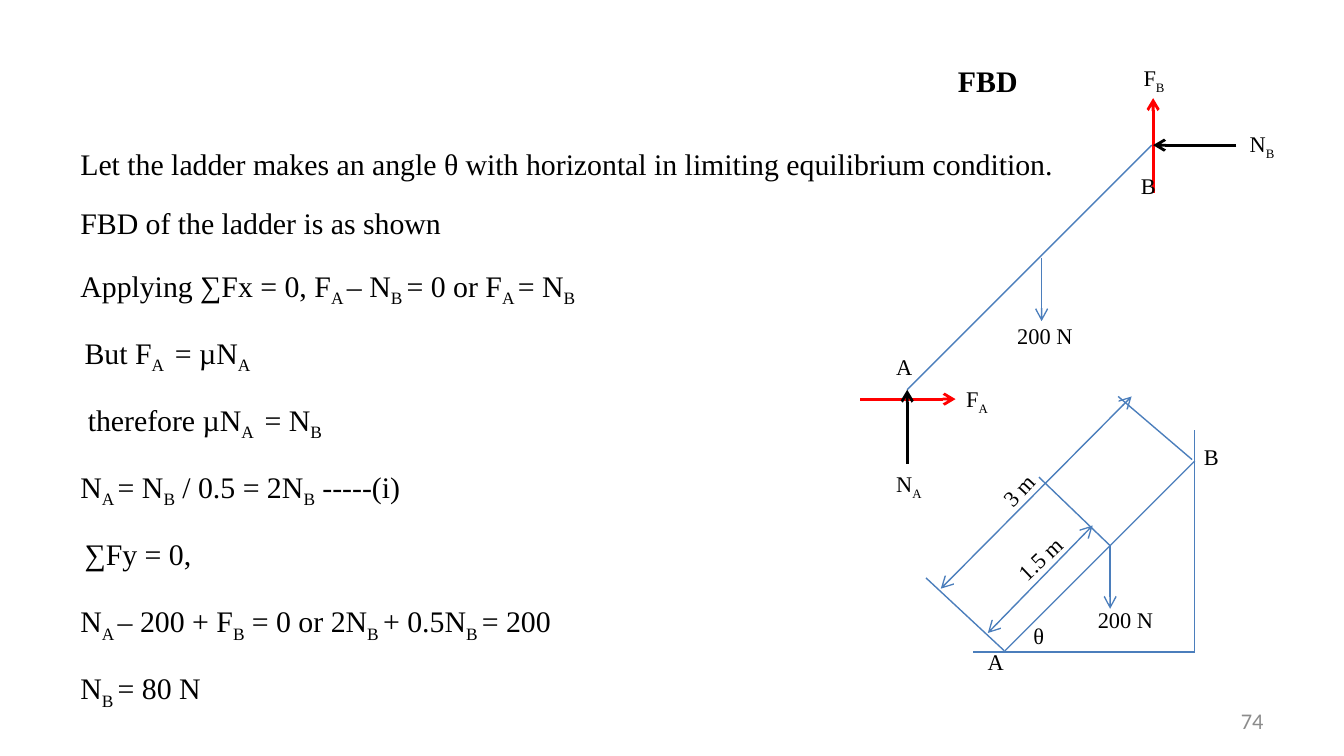
from lxml import etree
from pptx import Presentation
from pptx.dml.color import RGBColor
from pptx.enum.shapes import MSO_CONNECTOR
from pptx.enum.text import MSO_ANCHOR, MSO_AUTO_SIZE, PP_ALIGN
from pptx.oxml.ns import qn
from pptx.util import Inches, Pt

STRAIGHT = MSO_CONNECTOR.STRAIGHT
MIDDLE = MSO_ANCHOR.MIDDLE
JUSTIFY, RIGHT = PP_ALIGN.JUSTIFY, PP_ALIGN.RIGHT
GROW = MSO_AUTO_SIZE.SHAPE_TO_FIT_TEXT

COLORS = {"text": "000000", "number": "8C8C8C", "outline": "4B7EBC",
          "friction": "FF0000", "normal": "000000"}
SERIF = {"name": "Times New Roman", "size": Pt(12)}
BODY = {"name": "Times New Roman", "size": Pt(16)}
TITLE = {**BODY, "bold": True}
NUMBER = {"name": "Calibri", "size": Pt(12)}

# Every second part between bars is a subscript.
SOLUTION = [
    "Let the ladder makes an angle θ with horizontal in limiting equilibrium condition.",
    "FBD of the ladder is as shown",
    "Applying ∑Fx = 0, F|A |– N|B |= 0 or F|A |= N|B",
    "| |But F|A | = µN|A ",
    " therefore µN|A | = N|B ",
    "N|A |= N|B| / 0.5 = 2N|B| -----(i)",
    "| |∑Fy = 0,",
    "N|A |– 200 + F|B| = 0 or 2N|B |+ 0.5N|B |= 200",
    "N|B |= 80 N",
]

# text, left, top, width, rotation
LABELS = [
    ("B", 8.39, 1.23, 0.35, 0), ("A", 6.57, 2.58, 0.5, 0),
    ("F|B", 8.41, 0.43, 0.71, 0), ("N|B", 9.2, 0.92, 0.71, 0),
    ("F|A", 7.09, 2.82, 0.71, 0), ("N|A", 6.57, 3.45, 0.71, 0),
    ("200 N", 7.47, 2.35, 0.71, 0), ("200 N", 8.07, 4.46, 0.71, 0),
    ("B", 8.86, 3.25, 0.5, 0), ("A", 7.25, 4.77, 0.5, 0),
    ("θ", 7.59, 4.58, 0.7, 0),
    ("3 m", 7.31, 3.4, 0.71, 312.9), ("1.5 m", 7.43, 3.96, 0.71, 316.4),
]

# start, end
LADDERS_AND_WALLS = [
    ((6.75, 2.9), (8.57, 1.08)), ((7.47, 4.85), (8.89, 3.43)),
    ((7.24, 4.85), (8.89, 4.85)), ((8.89, 4.85), (8.89, 3.2)),
]
EXTENSION_LINES = [
    ((7.47, 4.84), (6.89, 4.3)), ((8.87, 3.42), (8.32, 2.95)),
    ((8.26, 4.06), (7.73, 3.55)),
]
WEIGHTS = [((7.75, 1.92), (7.75, 2.39)), ((8.26, 4.06), (8.26, 4.53))]
DIMENSIONS = [((7, 4.38), (8.42, 2.95)), ((7.35, 4.71), (8.13, 3.91))]
FRICTIONS = [((8.58, 1.44), (8.58, 0.73)), ((6.4, 2.97), (7.11, 2.97))]
NORMALS = [((9.2, 1.08), (8.58, 1.08)), ((6.75, 3.45), (6.75, 2.9))]


def add_spans(para, text, style, color):
    """Fill a paragraph, lowering every second part between bars."""
    for index, part in enumerate(text.split("|")):
        if not part:
            continue
        span = para.add_run()
        span.text = part
        for name, value in style.items():
            setattr(span.font, name, value)
        span.font.color.rgb = RGBColor.from_string(COLORS[color])
        if index % 2:
            span._r.get_or_add_rPr().set("baseline", "-25000")


def add_text(page, lines, place, style, color="text", frame=None, layout=None, rotation=0):
    box = page.shapes.add_textbox(*map(Inches, place))
    box.rotation = rotation
    text_frame = box.text_frame
    text_frame.word_wrap = True
    for name, value in (frame or {}).items():
        setattr(text_frame, name, value)
    for index, line in enumerate(lines):
        para = text_frame.add_paragraph() if index else text_frame.paragraphs[0]
        for name, value in (layout or {}).items():
            if index or name != "space_before":
                setattr(para, name, value)
        add_spans(para, line, style, color)


def add_lines(page, segments, color="outline", width=0.75, ends=()):
    for start, end in segments:
        line = page.shapes.add_connector(STRAIGHT, *map(Inches, start + end))
        line.line.color.rgb = RGBColor.from_string(COLORS[color])
        line.line.width = Pt(width)
        properties = line._element.spPr
        for name in ends:
            tip = etree.SubElement(properties.find(qn("a:ln")), qn(f"a:{name}"))
            tip.set("type", "arrow")
        etree.SubElement(properties, qn("a:effectLst"))


def main():
    deck = Presentation()
    deck.slide_width = Inches(10)
    deck.slide_height = deck.slide_width * 9 // 16
    page = deck.slides.add_slide(deck.slide_layouts[6])

    add_text(page, SOLUTION, (0.5, 0.9, 9, 4.13), BODY,
             layout={"alignment": JUSTIFY, "line_spacing": 1.5, "space_before": Pt(3.2)})
    add_text(page, ["74"], (7.17, 5.21, 2.33, 0.3), NUMBER, "number",
             {"vertical_anchor": MIDDLE}, {"alignment": RIGHT})
    add_text(page, ["FBD"], (7.03, 0.42, 0.73, 0.37), TITLE, frame={"auto_size": GROW})

    add_lines(page, LADDERS_AND_WALLS + EXTENSION_LINES)
    add_lines(page, WEIGHTS, ends=["tailEnd"])
    add_lines(page, DIMENSIONS, ends=["headEnd", "tailEnd"])
    add_lines(page, FRICTIONS, "friction", 1.5, ["tailEnd"])
    add_lines(page, NORMALS, "normal", 1.5, ["tailEnd"])
    for text, left, top, width, rotation in LABELS:
        add_text(page, [text], (left, top, width, 0.3), SERIF,
                 frame={"auto_size": GROW}, rotation=rotation)

    deck.save("out.pptx")


if __name__ == "__main__":
    main()
